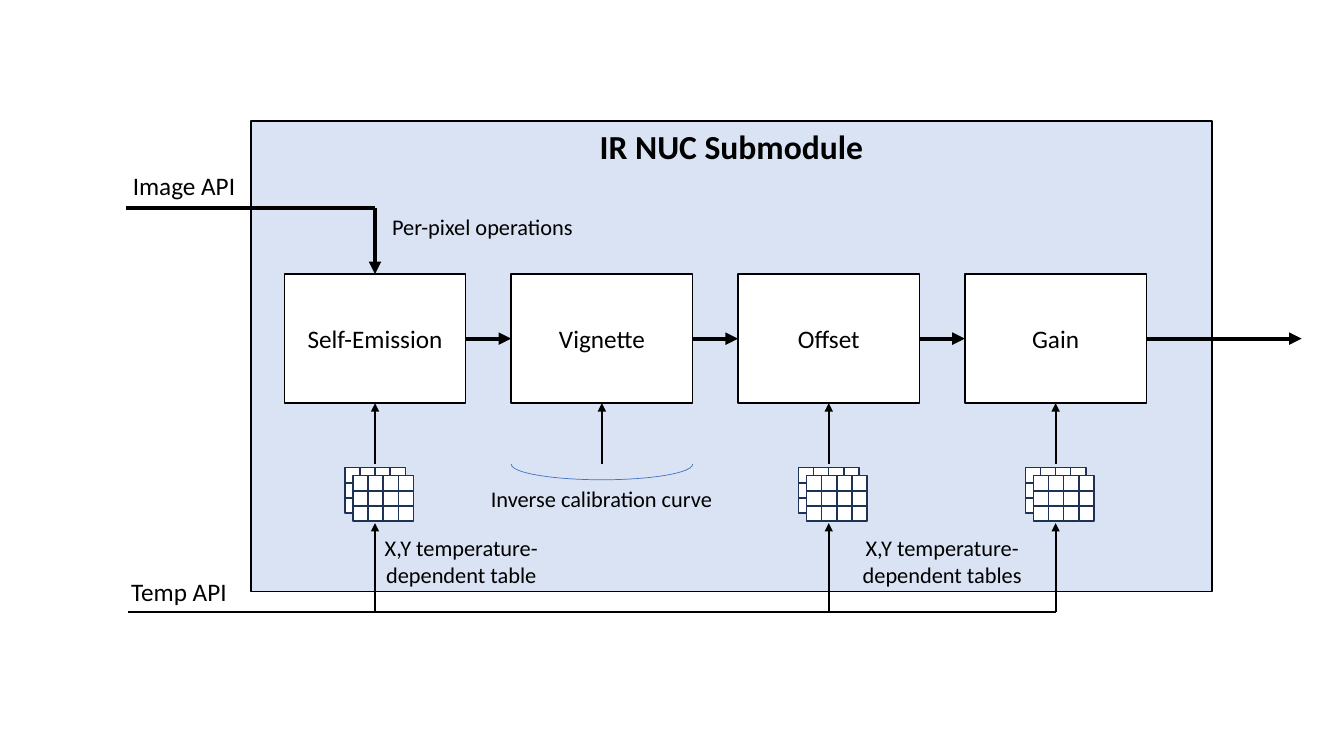
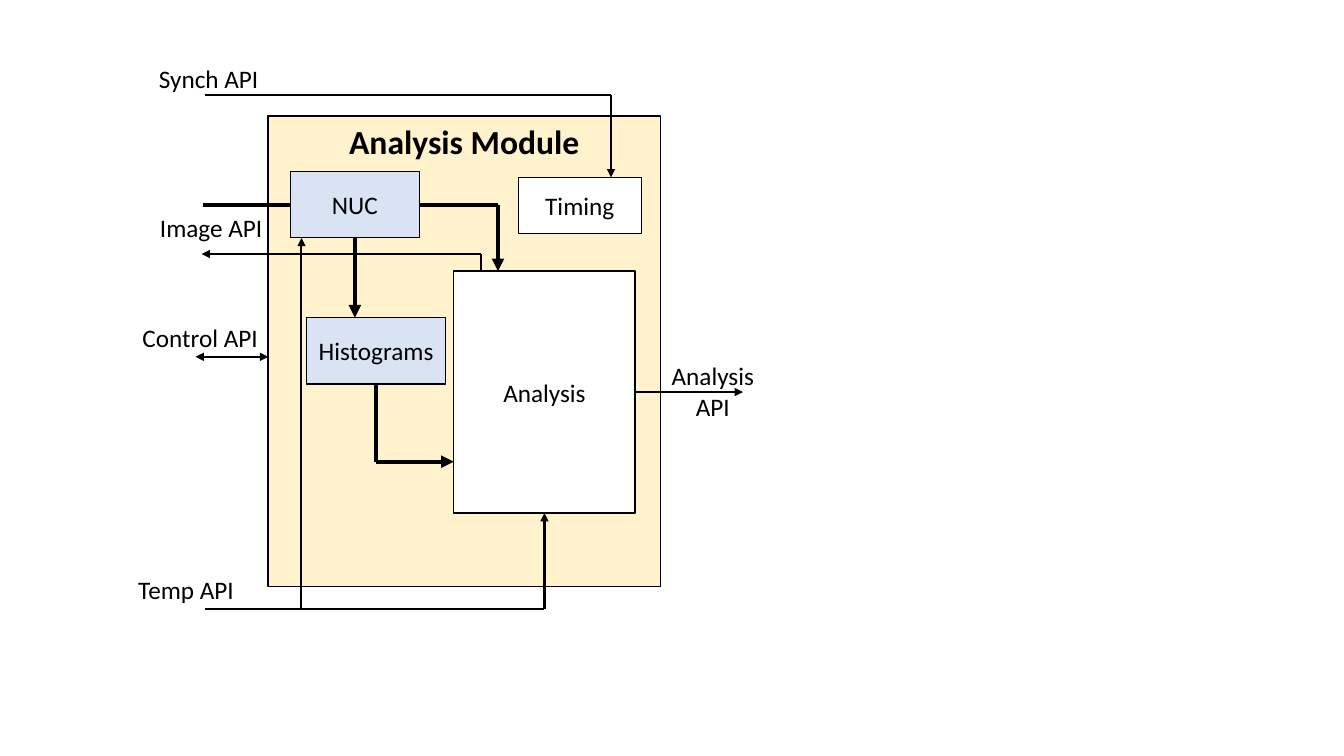
import lxml.etree
import pptx
import pptx.dml.color
import pptx.enum.shapes
import pptx.enum.text
import pptx.oxml.ns
import pptx.util

Inches = pptx.util.Inches
Pt = pptx.util.Pt
Shapes = pptx.enum.shapes.MSO_SHAPE
Anchor = pptx.enum.text.MSO_ANCHOR
qn = pptx.oxml.ns.qn

BLACK = "000000"
WHITE = "FFFFFF"
PALE_BLUE = "DAE3F3"
PALE_YELLOW = "FFF2CC"
CURVE_BLUE = "4472C4"
GRID_BLUE = "1E3256"

TITLE = {"size": Pt(24), "bold": True}
LABEL = {"size": Pt(18)}
NOTE = {"size": Pt(16)}
THIN, THICK = 1.5, 3
TOP, LEFT, BOTTOM, RIGHT = range(4)


def color(value):
    return pptx.dml.color.RGBColor.from_string(value)


def apply(target, formats):
    for name, value in formats.items():
        setattr(target, name, value)


def write(shape, text, font, anchor):
    frame = shape.text_frame
    apply(frame, {"text": text, "word_wrap": True, "vertical_anchor": anchor})
    for paragraph in frame.paragraphs:
        paragraph.alignment = pptx.enum.text.PP_ALIGN.CENTER
        apply(paragraph.font, {"name": "Calibri", **font})
        paragraph.font.color.rgb = color(BLACK)


def add_outline(shapes, kind, bounds, fill, line=BLACK, width=1):
    shape = shapes.add_shape(kind, *map(Inches, bounds))
    shape.shadow.inherit = False
    if fill:
        shape.fill.solid()
        shape.fill.fore_color.rgb = color(fill)
    else:
        shape.fill.background()
    shape.line.color.rgb = color(line)
    shape.line.width = Pt(width)
    return shape


def add_box(slide, bounds, text, fill=WHITE, font=LABEL, anchor=Anchor.MIDDLE):
    shape = add_outline(slide.shapes, Shapes.RECTANGLE, bounds, fill)
    write(shape, text, font, anchor)
    return shape


def add_module(slide, bounds, text, fill):
    return add_box(slide, bounds, text, fill, TITLE, Anchor.TOP)


def add_label(slide, bounds, text, font=LABEL):
    label = slide.shapes.add_textbox(*map(Inches, bounds))
    write(label, text, font, Anchor.TOP)
    label.text_frame.auto_size = pptx.enum.text.MSO_AUTO_SIZE.SHAPE_TO_FIT_TEXT


def add_line(slide, start, end, width=THIN, arrows=()):
    start_joined, end_joined = (not isinstance(point[0], (int, float)) for point in (start, end))
    start_point = (0, 0) if start_joined else start
    end_point = (0, 0) if end_joined else end
    connector = slide.shapes.add_connector(
        pptx.enum.shapes.MSO_CONNECTOR.STRAIGHT, *map(Inches, (*start_point, *end_point)))
    if start_joined:
        connector.begin_connect(*start)
    if end_joined:
        connector.end_connect(*end)
    connector.line.color.rgb = color(BLACK)
    connector.line.width = Pt(width)
    properties = connector.element.spPr
    for arrow in arrows:
        lxml.etree.SubElement(properties.find(qn("a:ln")), qn(f"a:{arrow}"), type="triangle")
    lxml.etree.SubElement(properties, qn("a:effectLst"))


def add_arrow(slide, start, end, width=THIN):
    add_line(slide, start, end, width, ("tailEnd",))


def add_grid(slide, left, top, rows=3, columns=4, cell=0.15):
    group = slide.shapes.add_group_shape()
    for row in range(rows):
        for column in range(columns):
            bounds = (left + column * cell, top + row * cell, cell, cell)
            add_outline(group.shapes, Shapes.RECTANGLE, bounds, WHITE, GRID_BLUE)


def add_table_stack(slide, center):
    add_grid(slide, center - 0.3, 4.64)
    add_grid(slide, center - 0.22, 4.72)


def build_submodule(slide):
    add_module(slide, (2.49, 1.2, 9.53, 4.67), "IR NUC Submodule", PALE_BLUE)
    step, width = 2.25, 1.8
    names = ("Self-Emission", "Vignette", "Offset", "Gain")
    stages = [add_box(slide, (2.82 + index * step, 2.72, width, 1.28), name)
              for index, name in enumerate(names)]
    centers = [2.82 + width / 2 + index * step for index in range(len(names))]

    for source, target in zip(stages, stages[1:]):
        add_arrow(slide, (source, RIGHT), (target, LEFT), THICK)
    add_arrow(slide, (stages[-1], RIGHT), (12.91, 3.36), THICK)
    add_line(slide, (1.25, 2.06), (centers[0], 2.06), THICK)
    add_arrow(slide, (centers[0], 2.06), (stages[0], TOP), THICK)

    add_line(slide, (1.27, 6.07), (centers[-1], 6.07))
    for stage, center, name in zip(stages, centers, names):
        add_arrow(slide, (center, 4.6), (stage, BOTTOM))
        if name != "Vignette":
            add_table_stack(slide, center)
            add_arrow(slide, (center, 6.07), (center, 5.19))

    curve = add_outline(slide.shapes, Shapes.ARC, (5.07, 4.45, width, 0.31), None, CURVE_BLUE, 0.5)
    curve.adjustments[0] = 0
    curve.adjustments[1] = 108

    add_label(slide, (1.14, 1.64, 1.37, 0.4), "Image API")
    add_label(slide, (0.83, 5.67, 1.89, 0.4), "Temp API")
    add_label(slide, (3.51, 2.07, 2.55, 0.37), "Per-pixel operations", NOTE)
    add_label(slide, (4.69, 4.76, 2.55, 0.37), "Inverse calibration curve", NOTE)
    add_label(slide, (3.49, 5.25, 2.17, 0.64), "X,Y temperature-dependent table", NOTE)
    add_label(slide, (8.22, 5.25, 2.25, 0.64), "X,Y temperature-dependent tables", NOTE)


def build_module(slide):
    add_module(slide, (2.66, 1.15, 3.89, 4.67), "Analysis Module", PALE_YELLOW)
    add_box(slide, (5.14, 1.76, 1.22, 0.56), "Timing")
    analysis = add_box(slide, (4.5, 2.69, 1.8, 2.4), "Analysis")
    nuc = add_box(slide, (2.88, 1.7, 1.28, 0.66), "NUC", PALE_BLUE)
    histograms = add_box(slide, (3.04, 3.15, 1.38, 0.66), "Histograms", PALE_BLUE)

    add_line(slide, (2.03, 0.94), (6.06, 0.94))
    add_arrow(slide, (6.06, 0.94), (6.06, 1.76))

    add_line(slide, (2.01, 2.03), (nuc, LEFT), THICK)
    add_line(slide, (nuc, RIGHT), (4.94, 2.03), THICK)
    add_arrow(slide, (4.94, 2.03), (4.94, 2.69), THICK)
    add_arrow(slide, (nuc, BOTTOM), (3.52, 3.15), THICK)
    add_line(slide, (histograms, BOTTOM), (3.73, 4.58), THICK)
    add_arrow(slide, (3.73, 4.58), (4.5, 4.58), THICK)

    add_line(slide, (4.77, 2.69), (4.77, 2.52))
    add_arrow(slide, (4.77, 2.52), (2, 2.52))
    add_line(slide, (1.94, 3.54), (2.66, 3.54), THIN, ("headEnd", "tailEnd"))
    add_arrow(slide, (analysis, RIGHT), (7.37, 3.89))

    add_line(slide, (2.03, 6.04), (5.4, 6.04))
    add_arrow(slide, (2.99, 6.04), (2.99, 2.36))
    add_arrow(slide, (5.4, 6.04), (analysis, BOTTOM))

    add_label(slide, (1.17, 0.58, 1.8, 0.4), "Synch API")
    add_label(slide, (1.41, 2.06, 1.37, 0.4), "Image API")
    add_label(slide, (1.05, 3.15, 1.87, 0.4), "Control API")
    add_label(slide, (0.9, 5.65, 1.89, 0.4), "Temp API")
    add_label(slide, (6.33, 3.53, 1.48, 0.71), "Analysis\nAPI")


def main():
    presentation = pptx.Presentation()
    apply(presentation, {"slide_width": Inches(13.33), "slide_height": Inches(7.5)})
    for build in (build_submodule, build_module):
        build(presentation.slides.add_slide(presentation.slide_layouts[6]))
    presentation.save("out.pptx")


if __name__ == "__main__":
    main()
